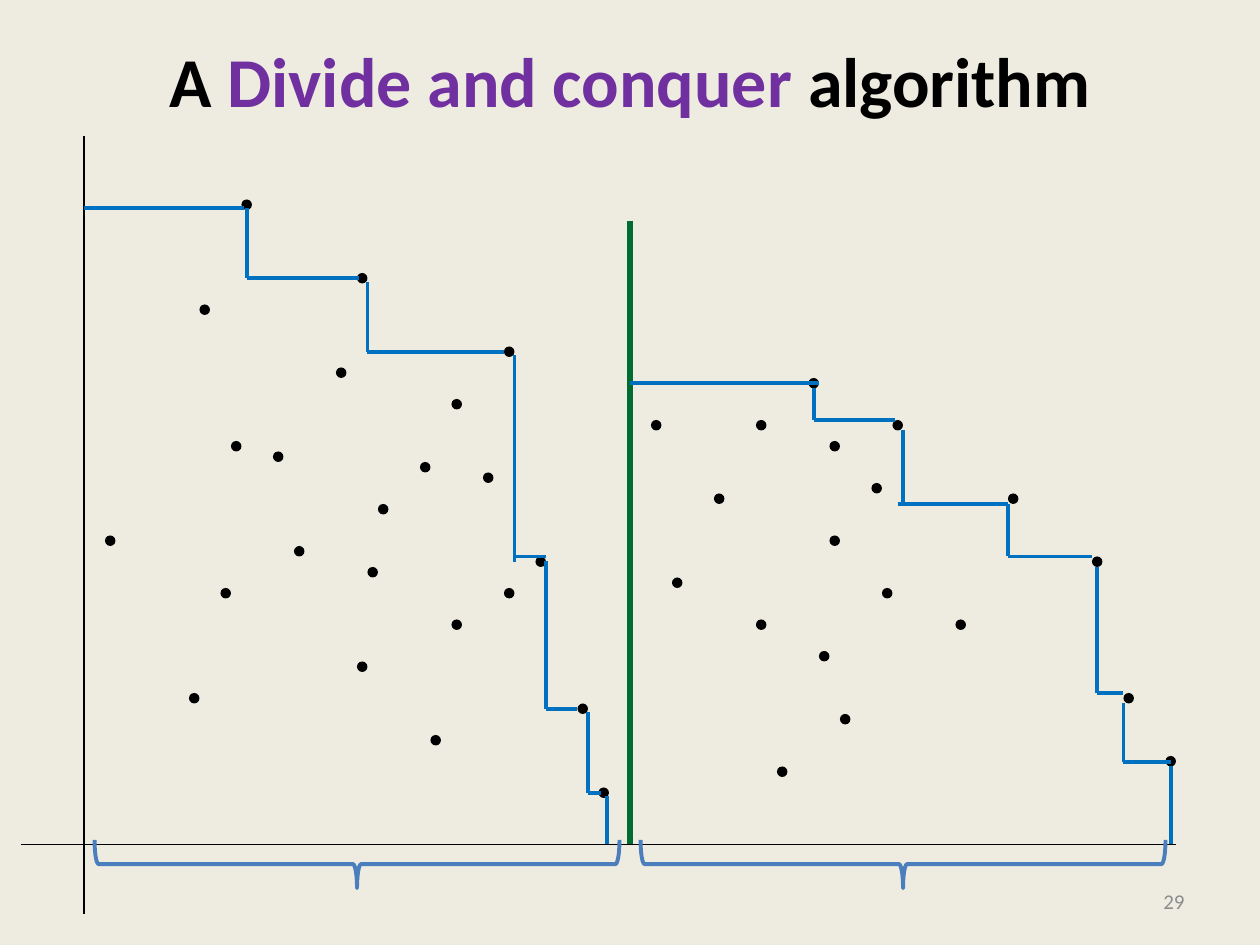
from pptx import Presentation
from pptx.dml.color import RGBColor
from pptx.enum import shapes, text
from pptx.oxml.ns import qn
from pptx.util import Inches, Pt
from lxml import etree

HUES = {"back": "EEECE1", "ink": "000000", "key": "7030A0", "page": "8C8C8C",
        "split": "006C31", "brace": "4B7EBC", "stair": "0070C0"}
COLS, ROWS = 120, 90
BASE = 80.4

deck = Presentation()
deck.slide_width, deck.slide_height = Inches(10), Inches(7.5)
CELL = deck.slide_width / COLS
slide = deck.slides.add_slide(deck.slide_layouts[5])
slide.background.fill.solid()
slide.background.fill.fore_color.rgb = RGBColor.from_string(HUES["back"])


def grid(*cells):
    return [round(c * CELL) for c in cells]


def draw(home, ends, hue, width):
    line = home.add_connector(shapes.MSO_CONNECTOR.STRAIGHT, *grid(*ends))
    line.line.color.rgb = RGBColor.from_string(HUES[hue])
    line.line.width = Pt(width)
    etree.SubElement(line._element.spPr, qn("a:effectLst"))


title = slide.shapes.title
title.left, title.top, title.width, title.height = grid(6, 3.6, 108, 15)
frame = title.text_frame
frame.vertical_anchor = text.MSO_ANCHOR.TOP
frame.margin_top = 0
para = frame.paragraphs[0]
para.alignment = text.PP_ALIGN.CENTER
for words, hue in (("A ", "ink"), ("Divide and conquer ", "key"), ("algorithm", "ink")):
    run = para.add_run()
    run.text = words
    run.font.name, run.font.size, run.font.bold = "Calibri", Pt(40), True
    run.font.color.rgb = RGBColor.from_string(HUES[hue])

page = slide.shapes.add_textbox(*grid(86, 83.4, 28, 4.8)).text_frame
page.word_wrap = True
page.vertical_anchor = text.MSO_ANCHOR.MIDDLE
page.text = "29"
para = page.paragraphs[0]
para.alignment = text.PP_ALIGN.RIGHT
font = para.runs[0].font
font.name, font.size = "Calibri", Pt(12)
font.color.rgb = RGBColor.from_string(HUES["page"])

left = [(23, 19), (34, 26), (19, 29), (48, 33), (32, 35), (43, 38), (22, 42),
        (26, 43), (40, 44), (46, 45), (36, 48), (10, 51), (28, 52), (51, 53),
        (35, 54), (21, 56), (48, 56), (43, 59), (34, 63), (18, 66), (55, 67),
        (41, 70), (57, 75)]
right = [(77, 36), (62, 40), (72, 40), (85, 40), (79, 42), (83, 46), (68, 47),
         (96, 47), (79, 51), (104, 53), (64, 55), (84, 56), (72, 59), (91, 59),
         (78, 62), (107, 66), (80, 68), (111, 72), (74, 73)]
for col, row in left + right:
    dot = slide.shapes.add_shape(shapes.MSO_SHAPE.OVAL, *grid(col, row, 1, 1))
    dot.shadow.inherit = False
    dot.fill.solid()
    dot.fill.fore_color.rgb = RGBColor.from_string(HUES["ink"])
    dot.line.fill.background()

draw(slide.shapes, (60, 21, 60, BASE), "split", 3)
draw(slide.shapes, (8, 13, 8, 87), "ink", 0.75)
draw(slide.shapes, (2, BASE, 112, BASE), "ink", 0.75)

WIDE, DEEP = 4.6, 50
for mid in (34, 86):
    brace = slide.shapes.add_shape(
        shapes.MSO_SHAPE.RIGHT_BRACE,
        *grid(mid - WIDE / 2, 82.3 - DEEP / 2, WIDE, DEEP))
    brace.rotation = 90
    brace.shadow.inherit = False
    brace.fill.background()
    brace.line.color.rgb = RGBColor.from_string(HUES["brace"])
    brace.line.width = Pt(2.25)

stairs = [
    {"flat": [(8, 23.2, 19.8), (23.5, 34.2, 26.5), (35, 48, 33.5),
              (49, 52, 53), (52, 55, 67.5), (56, 57.2, 75.5)],
     "drop": [(23.5, 26.5, 19.8), (35, 33.5, 26.9), (49, 53.5, 33.8),
              (52, 67.5, 53.4), (56, 75.5, 67.8), (57.8, BASE, 75.8)]},
    {"flat": [(60, 78, 36.5), (77.5, 85.2, 40), (85.5, 96, 48),
              (96, 104, 53), (104.5, 107, 66), (107, 111.5, 72.6)],
     "drop": [(77.5, 40, 37), (86, 48, 41), (96, 53, 48),
              (104.5, 66, 54), (107, 72.6, 67), (111.5, BASE, 73)]},
]
for stair in stairs:
    group = slide.shapes.add_group_shape().shapes
    for start, end, row in stair["flat"]:
        draw(group, (start, row, end, row), "stair", 2.25)
    for col, low, high in stair["drop"]:
        draw(group, (col, low, col, high), "stair", 2.25)

deck.save("out.pptx")
